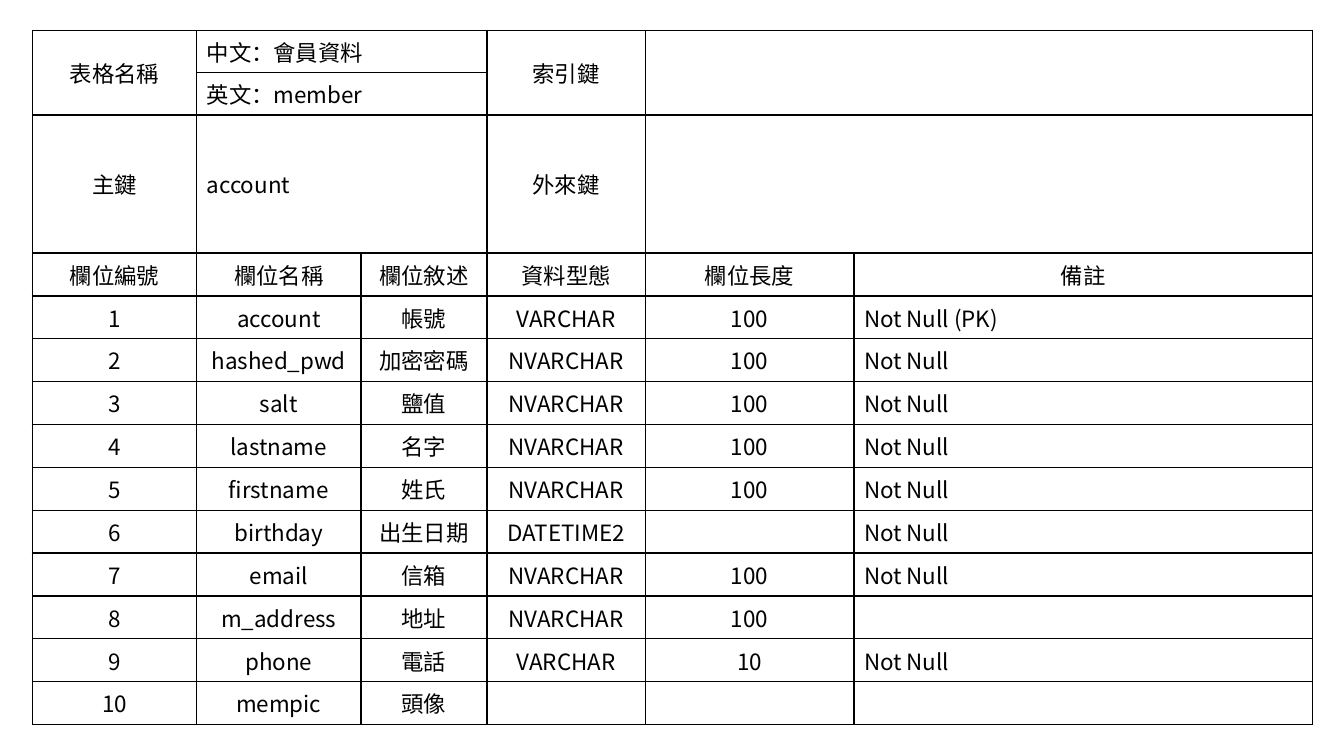
"""Build a slide with the schema table of the member data."""
from lxml.etree import SubElement
from pptx import Presentation
from pptx.dml.color import RGBColor
from pptx.enum.text import MSO_ANCHOR, PP_ALIGN
from pptx.oxml.ns import qn
from pptx.util import Inches, Pt

FONT = "Noto Sans CJK TC"
BLACK = RGBColor(0x00, 0x00, 0x00)
WHITE = RGBColor(0xFF, 0xFF, 0xFF)

SUMMARY = [
    ("表格名稱", "中文：會員資料", "", "索引鍵", "", ""),
    ("", "英文：member", "", "", "", ""),
    ("主鍵", "account", "", "外來鍵", "", ""),
]
HEADINGS = ("欄位編號", "欄位名稱", "欄位敘述", "資料型態", "欄位長度", "備註")
FIELDS = [
    ("account", "帳號", "VARCHAR", "100", "Not Null (PK)"),
    ("hashed_pwd", "加密密碼", "NVARCHAR", "100", "Not Null"),
    ("salt", "鹽值", "NVARCHAR", "100", "Not Null"),
    ("lastname", "名字", "NVARCHAR", "100", "Not Null"),
    ("firstname", "姓氏", "NVARCHAR", "100", "Not Null"),
    ("birthday", "出生日期", "DATETIME2", "", "Not Null"),
    ("email", "信箱", "NVARCHAR", "100", "Not Null"),
    ("m_address", "地址", "NVARCHAR", "100", ""),
    ("phone", "電話", "VARCHAR", "10", "Not Null"),
    ("mempic", "頭像", "", "", ""),
]
MERGES = [
    ((0, 0), (1, 0)),
    ((0, 1), (0, 2)),
    ((0, 3), (1, 3)),
    ((0, 4), (1, 5)),
    ((1, 1), (1, 2)),
    ((2, 1), (2, 2)),
    ((2, 4), (2, 5)),
]

LEFT, TOP, TABLE_HEIGHT = 0.32, 0.3, 6.89
COLUMN_WIDTHS = (1.63, 1.63, 1.25, 1.57, 2.07, 4.55)
SUMMARY_HEIGHTS = (0.42, 0.42, 1.37)


def add_borders(cell):
    """Draw a thin black line on each side of a cell."""
    properties = cell._tc.get_or_add_tcPr()
    for side in ("lnL", "lnR", "lnT", "lnB"):
        line = SubElement(properties, qn(f"a:{side}"), w=str(Pt(1)))
        fill = SubElement(line, qn("a:solidFill"))
        SubElement(fill, qn("a:srgbClr"), val=str(BLACK))


def write_cell(cell, text, alignment):
    """Fill, frame and typeset one cell."""
    add_borders(cell)
    cell.fill.solid()
    cell.fill.fore_color.rgb = WHITE
    cell.vertical_anchor = MSO_ANCHOR.MIDDLE
    cell.text = text
    paragraph = cell.text_frame.paragraphs[0]
    paragraph.alignment = alignment
    paragraph.font.size = Pt(16)
    paragraph.font.color.rgb = BLACK
    paragraph.font.name = FONT
    defaults = paragraph._p.pPr.find(qn("a:defRPr"))
    SubElement(defaults, qn("a:ea"), typeface=FONT)


def main():
    """Lay out the table and save the presentation."""
    presentation = Presentation()
    presentation.slide_width = Inches(13.33)
    presentation.slide_height = Inches(7.5)
    slide = presentation.slides.add_slide(presentation.slide_layouts[6])

    numbered = [(str(number), *field) for number, field in enumerate(FIELDS, 1)]
    rows = [*SUMMARY, HEADINGS, *numbered]
    field_rows = len(rows) - len(SUMMARY)
    field_height = (TABLE_HEIGHT - sum(SUMMARY_HEIGHTS)) / field_rows
    heights = [*SUMMARY_HEIGHTS, *[field_height] * field_rows]

    table = slide.shapes.add_table(
        len(rows), len(COLUMN_WIDTHS), Inches(LEFT), Inches(TOP),
        Inches(sum(COLUMN_WIDTHS)), Inches(TABLE_HEIGHT),
    ).table
    table.first_row = False
    table.horz_banding = False
    for column, width in zip(table.columns, COLUMN_WIDTHS):
        column.width = Inches(width)
    for row, height in zip(table.rows, heights):
        row.height = Inches(height)

    for row_index, row in enumerate(rows):
        for column_index, text in enumerate(row):
            summary_value = row_index < len(SUMMARY) and column_index == 1
            remark = row_index > len(SUMMARY) and column_index == 5
            alignment = PP_ALIGN.LEFT if summary_value or remark else PP_ALIGN.CENTER
            write_cell(table.cell(row_index, column_index), text, alignment)
    for first, last in MERGES:
        table.cell(*first).merge(table.cell(*last))

    presentation.save("out.pptx")


if __name__ == "__main__":
    main()
